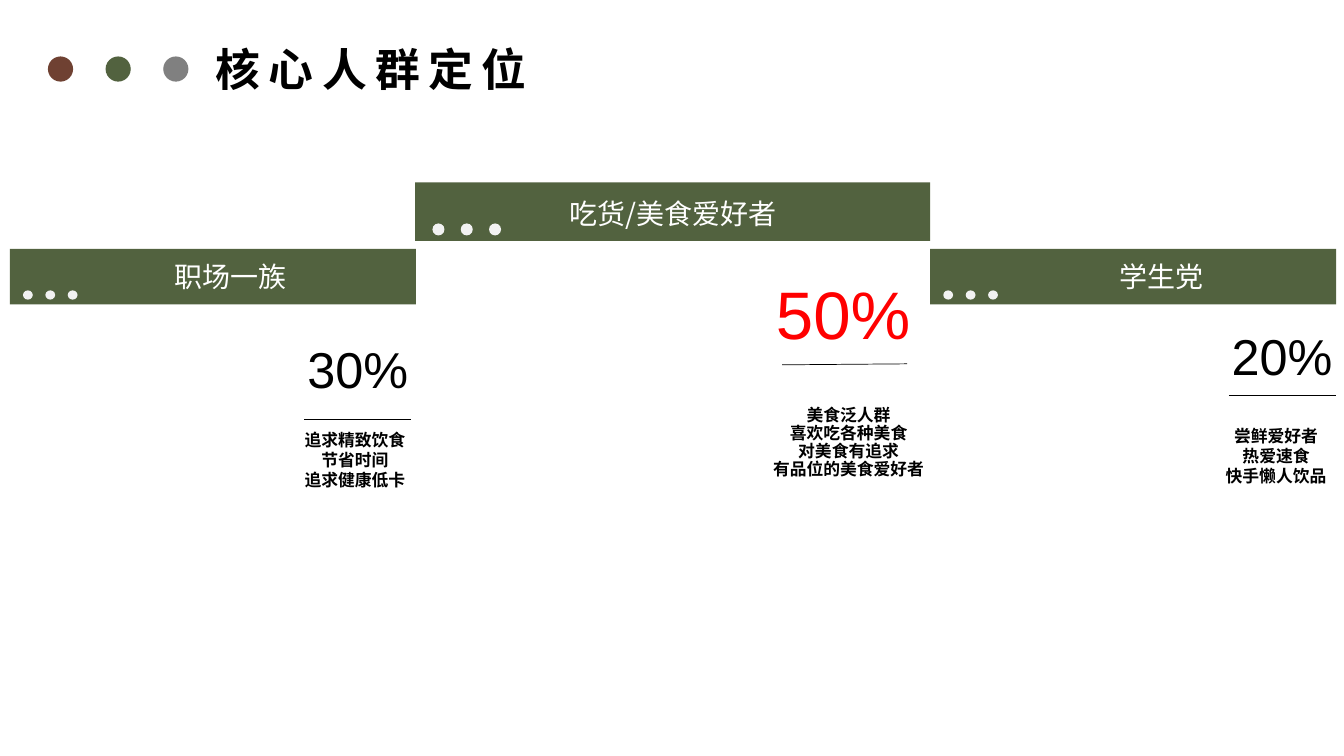
from dataclasses import dataclass

from lxml import etree
from pptx import Presentation
from pptx.dml.color import RGBColor
from pptx.enum.shapes import MSO_CONNECTOR, MSO_SHAPE
from pptx.enum.text import MSO_ANCHOR, PP_ALIGN
from pptx.oxml.ns import qn
from pptx.slide import Slide
from pptx.text.text import TextFrame
from pptx.util import Pt

RECTANGLE = MSO_SHAPE.RECTANGLE
OVAL = MSO_SHAPE.OVAL
STRAIGHT = MSO_CONNECTOR.STRAIGHT
CENTER = PP_ALIGN.CENTER
LEFT = PP_ALIGN.LEFT
MIDDLE = MSO_ANCHOR.MIDDLE
TOP = MSO_ANCHOR.TOP
TITLE_ONLY = 5


@dataclass(frozen=True)
class Theme:
    green: str = "52623F"
    brown: str = "6F4132"
    gray: str = "808080"
    pale: str = "F2F2F2"
    black: str = "000000"
    white: str = "FFFFFF"
    red: str = "FF0000"
    chinese_font: str = "Noto Sans CJK SC"
    number_font: str = "Arial"
    title_size: float = 32
    heading_size: float = 20
    detail_size: float = 12
    share_size: float = 36
    main_share_size: float = 48
    title_spacing: int = 600


@dataclass(frozen=True)
class Box:
    left: float
    top: float
    width: float
    height: float


@dataclass(frozen=True)
class TextStyle:
    size: float
    color: str
    font: str
    bold: bool = False
    line_spacing: float = 1.0


@dataclass(frozen=True)
class DotRow:
    first: Box
    pitch: float
    colors: tuple[str, str, str]


@dataclass(frozen=True)
class Audience:
    heading: str
    heading_box: Box
    band: Box
    dots: DotRow
    share: str
    share_box: Box
    share_style: TextStyle
    rule: tuple[float, float, float, float]
    details: str
    details_box: Box
    details_style: TextStyle


THEME = Theme()
PALE_DOTS = (THEME.pale,) * 3
TITLE_STYLE = TextStyle(THEME.title_size, THEME.black, THEME.chinese_font, True)
HEADING_STYLE = TextStyle(THEME.heading_size, THEME.white, THEME.chinese_font)
DETAIL_STYLE = TextStyle(THEME.detail_size, THEME.black, THEME.chinese_font, True)
TIGHT_DETAIL_STYLE = TextStyle(THEME.detail_size, THEME.black, THEME.chinese_font, True, 0.9)
SHARE_STYLE = TextStyle(THEME.share_size, THEME.black, THEME.number_font)
MAIN_SHARE_STYLE = TextStyle(THEME.main_share_size, THEME.red, THEME.number_font)

TITLE_BOX = Box(146.9, 26.2, 457.2, 46.1)
TITLE_DOTS = DotRow(Box(34.2, 40.3, 18, 18), 41.2, (THEME.brown, THEME.green, THEME.gray))

AUDIENCES = (
    Audience("职场一族", Box(64.1, 181.4, 200.9, 31.7), Box(7, 177.8, 290, 39.6),
             DotRow(Box(16.4, 207.4, 7, 6.6), 16, PALE_DOTS),
             "30%", Box(207.4, 238.3, 96.5, 54), SHARE_STYLE,
             (217.4, 299.5, 293.8, 299.5),
             "追求精致饮食\n节省时间\n追求健康低卡", Box(205.5, 303.4, 96, 54), DETAIL_STYLE),
    Audience("吃货/美食爱好者", Box(380.2, 136.8, 200.9, 31.7), Box(296.6, 130.3, 367.9, 41.8),
             DotRow(Box(308.9, 159.6, 8.6, 8.6), 20.2, PALE_DOTS),
             "50%", Box(540.7, 190.8, 123.1, 69.1), MAIN_SHARE_STYLE,
             (558.7, 260.6, 648, 259.9),
             "美食泛人群\n喜欢吃各种美食\n对美食有追求\n有品位的美食爱好者",
             Box(541.2, 287, 130, 60), TIGHT_DETAIL_STYLE),
    Audience("学生党", Box(729.4, 181.4, 200.9, 31.7), Box(664.4, 177.8, 290, 39.6),
             DotRow(Box(673.8, 207.4, 7, 6.6), 16, PALE_DOTS),
             "20%", Box(867.6, 229, 96.5, 54), SHARE_STYLE,
             (877.7, 282.2, 954, 282.2),
             "尝鲜爱好者\n热爱速食\n快手懒人饮品", Box(863.5, 300.4, 96, 54), DETAIL_STYLE),
)


def write_text(text_frame: TextFrame, text: str, style: TextStyle,
               alignment: PP_ALIGN = CENTER, spacing: int = 0) -> None:
    text_frame.text = text
    for paragraph in text_frame.paragraphs:
        paragraph.alignment = alignment
        paragraph.line_spacing = style.line_spacing
        for run in paragraph.runs:
            run.font.size = Pt(style.size)
            run.font.bold = style.bold
            run.font.name = style.font
            run.font.color.rgb = RGBColor.from_string(style.color)
            properties = run.font._element
            east_asian = etree.Element(qn("a:ea"), typeface=style.font)
            properties.find(qn("a:latin")).addnext(east_asian)
            if spacing:
                properties.set("spc", str(spacing))


def add_text(slide: Slide, box: Box, text: str, style: TextStyle,
             wrap: bool = False, anchor: MSO_ANCHOR = TOP) -> None:
    shape = slide.shapes.add_textbox(Pt(box.left), Pt(box.top), Pt(box.width), Pt(box.height))
    shape.text_frame.word_wrap = wrap
    shape.text_frame.vertical_anchor = anchor
    write_text(shape.text_frame, text, style)


def add_filled_shape(slide: Slide, kind: MSO_SHAPE, box: Box, color: str) -> None:
    shape = slide.shapes.add_shape(kind, Pt(box.left), Pt(box.top), Pt(box.width), Pt(box.height))
    shape.shadow.inherit = False
    shape.fill.solid()
    shape.fill.fore_color.rgb = RGBColor.from_string(color)
    shape.line.fill.background()


def add_dots(slide: Slide, row: DotRow) -> None:
    first = row.first
    for index, color in enumerate(row.colors):
        dot = Box(first.left + index * row.pitch, first.top, first.width, first.height)
        add_filled_shape(slide, OVAL, dot, color)


def add_rule(slide: Slide, ends: tuple[float, float, float, float]) -> None:
    connector = slide.shapes.add_connector(STRAIGHT, *(Pt(value) for value in ends))
    connector.line.color.rgb = RGBColor.from_string(THEME.black)
    connector.line.width = Pt(0.5)
    etree.SubElement(connector._element.spPr, qn("a:effectLst"))


def add_title(slide: Slide) -> None:
    title = slide.shapes.title
    title.left, title.top = Pt(TITLE_BOX.left), Pt(TITLE_BOX.top)
    title.width, title.height = Pt(TITLE_BOX.width), Pt(TITLE_BOX.height)
    title.text_frame.vertical_anchor = MIDDLE
    write_text(title.text_frame, "核心人群定位", TITLE_STYLE, LEFT, THEME.title_spacing)


def add_audience(slide: Slide, audience: Audience) -> None:
    add_filled_shape(slide, RECTANGLE, audience.band, THEME.green)
    add_dots(slide, audience.dots)
    add_text(slide, audience.heading_box, audience.heading, HEADING_STYLE, True, MIDDLE)
    add_text(slide, audience.share_box, audience.share, audience.share_style)
    add_rule(slide, audience.rule)
    add_text(slide, audience.details_box, audience.details, audience.details_style)


def main() -> None:
    presentation = Presentation()
    presentation.slide_width = Pt(960)
    presentation.slide_height = Pt(540)
    slide = presentation.slides.add_slide(presentation.slide_layouts[TITLE_ONLY])
    add_title(slide)
    add_dots(slide, TITLE_DOTS)
    for audience in AUDIENCES:
        add_audience(slide, audience)
    presentation.save("out.pptx")


if __name__ == "__main__":
    main()
